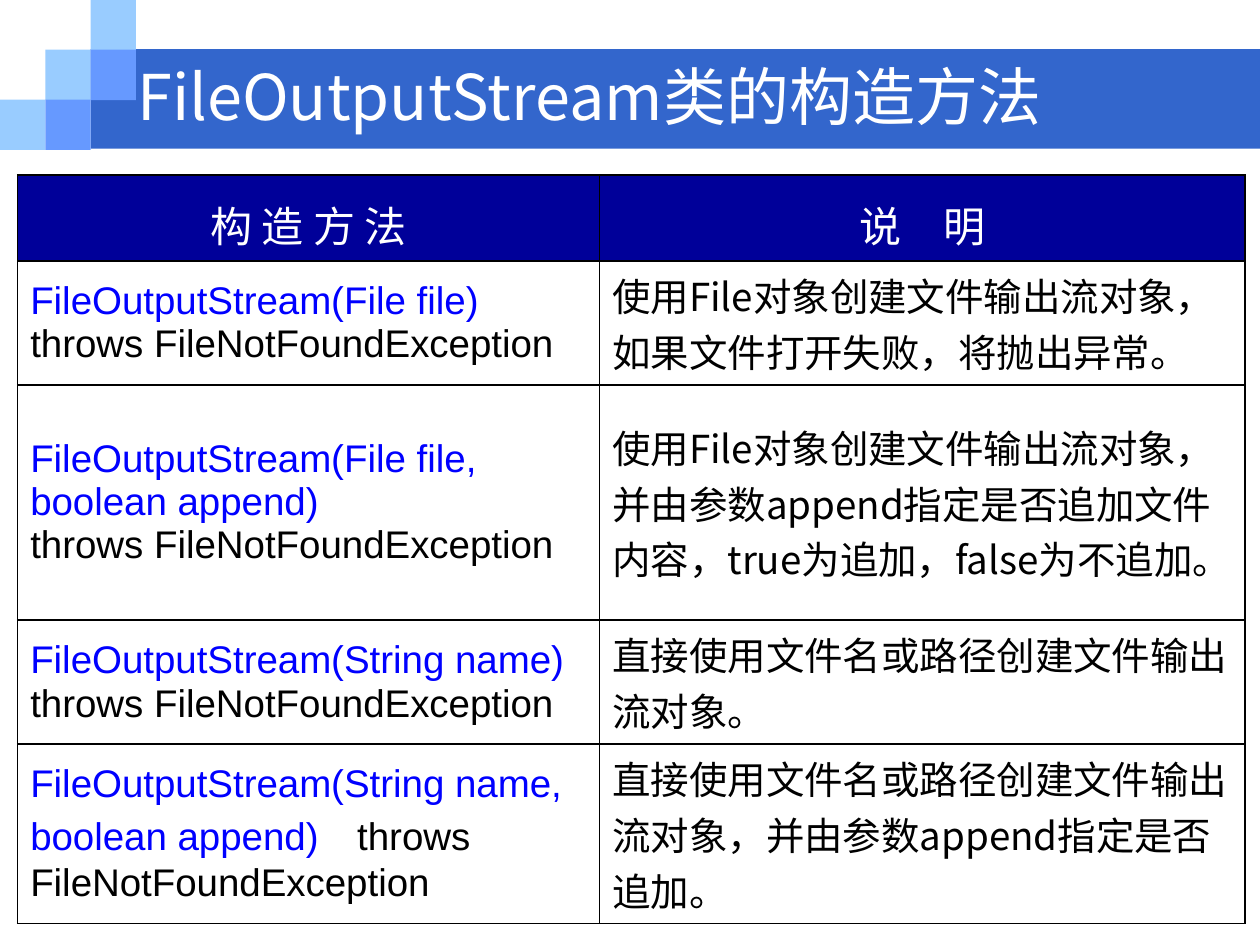
import pptx
import pptx.util
import pptx.dml.color
import pptx.enum.shapes
import pptx.enum.text
import pptx.oxml
import pptx.oxml.ns
import lxml.etree

Inches = pptx.util.Inches
Pt = pptx.util.Pt
HUES = {
    "white": "FFFFFF", "black": "000000", "band": "3366CC", "light": "99CCFF",
    "mid": "6699FF", "head": "000099", "code": "0000FF",
}
SANS = "Noto Sans CJK SC"
FAIL = "throws FileNotFoundException"
HEADS = ["构 造 方 法", "说　明"]
ROWS = [
    ([[("FileOutputStream(File file)", "code")], [(FAIL, "black")]],
     "使用File对象创建文件输出流对象，如果文件打开失败，将抛出异常。"),
    ([[("FileOutputStream(File file, boolean append)", "code")], [(FAIL, "black")]],
     "使用File对象创建文件输出流对象，并由参数append指定是否追加文件内容，true为追加，false为不追加。"),
    ([[("FileOutputStream(String name)", "code")], [(FAIL, "black")]],
     "直接使用文件名或路径创建文件输出流对象。"),
    ([[("FileOutputStream(String name, boolean append)", "code"), ("　" + FAIL, "black")]],
     "直接使用文件名或路径创建文件输出流对象，并由参数append指定是否追加。"),
]


def tint(name):
    return pptx.dml.color.RGBColor.from_string(HUES[name])


class Deck:
    def __init__(self):
        self.show = pptx.Presentation()
        self.show.slide_width = Inches(10)
        self.show.slide_height = Inches(7.5)
        self.slide = self.show.slides.add_slide(self.show.slide_layouts[5])

    def style(self, para, size, face, hue=None, align="LEFT"):
        para.alignment = getattr(pptx.enum.text.PP_ALIGN, align)
        font = para.font
        font.size = Pt(size)
        if hue:
            font.color.rgb = tint(hue)
        font.name = face
        east = lxml.etree.SubElement(font._element, pptx.oxml.ns.qn("a:ea"))
        east.set("typeface", SANS)

    def block(self, left, top, width, height, hue):
        kind = pptx.enum.shapes.MSO_SHAPE.RECTANGLE
        shape = self.slide.shapes.add_shape(
            kind, Inches(left), Inches(top), Inches(width), Inches(height))
        shape.shadow.inherit = False
        shape.fill.solid()
        shape.fill.fore_color.rgb = tint(hue)
        shape.line.fill.background()

    def title(self, text, left, top, width, height):
        shape = self.slide.shapes.title
        shape.left, shape.top = Inches(left), Inches(top)
        shape.width, shape.height = Inches(width), Inches(height)
        tree = self.slide.shapes._spTree
        tree.remove(shape._element)
        tree.append(shape._element)
        frame = shape.text_frame
        frame.text = text
        frame.vertical_anchor = pptx.enum.text.MSO_ANCHOR.MIDDLE
        self.style(frame.paragraphs[0], 36, SANS, "white")

    def border(self, cell):
        props = cell._tc.get_or_add_tcPr()
        for spot, side in enumerate(("lnL", "lnR", "lnT", "lnB")):
            props.insert(spot, pptx.oxml.parse_xml(
                f'<a:{side} {pptx.oxml.ns.nsdecls("a")} w="{Pt(1)}"><a:solidFill>'
                f'<a:srgbClr val="{HUES["black"]}"/></a:solidFill></a:{side}>'))

    def cell(self, cell, paras, size, face, fill="white", align="LEFT", space=None):
        cell.fill.solid()
        cell.fill.fore_color.rgb = tint(fill)
        self.border(cell)
        cell.vertical_anchor = pptx.enum.text.MSO_ANCHOR.MIDDLE
        frame = cell.text_frame
        for spot, runs in enumerate(paras):
            para = frame.add_paragraph() if spot else frame.paragraphs[0]
            hues = {hue for _, hue in runs}
            same = runs[0][1] if len(hues) == 1 else None
            self.style(para, size, face, same, align)
            if space:
                para.line_spacing = space
            for text, hue in runs:
                run = para.add_run()
                run.text = text
                if not same:
                    run.font.color.rgb = tint(hue)

    def table(self, left, top, widths, heights):
        grid = self.slide.shapes.add_table(
            len(heights), len(widths), Inches(left), Inches(top),
            Inches(sum(widths)), Inches(sum(heights))).table
        for col, width in zip(grid.columns, widths):
            col.width = Inches(width)
        for row, height in zip(grid.rows, heights):
            row.height = Inches(height)
        for spot, text in enumerate(HEADS):
            self.cell(grid.cell(0, spot), [[(text, "white")]], 24, "Courier New",
                      "head", "CENTER", 1.2)
        for spot, (code, note) in enumerate(ROWS, 1):
            self.cell(grid.cell(spot, 0), code, 22, "Arial")
            self.cell(grid.cell(spot, 1), [[(note, "black")]], 22, SANS)


def main():
    deck = Deck()
    wide, high = 0.36, 0.4
    deck.block(2 * wide, 0.39, 10 - 2 * wide, 0.79, "band")
    for col, row, hue in [(0, 2, "light"), (1, 1, "light"), (2, 0, "light"),
                          (2, 1, "mid"), (1, 2, "mid")]:
        deck.block(col * wide, row * 0.395, wide, high, hue)
    deck.title("FileOutputStream类的构造方法", 0.99, 0.29, 8.11, 0.94)
    deck.table(0.14, 1.39, [4.62, 5.12], [0.58, 0.92, 1.2, 0.92, 1.2])
    deck.show.save("out.pptx")


if __name__ == "__main__":
    main()
